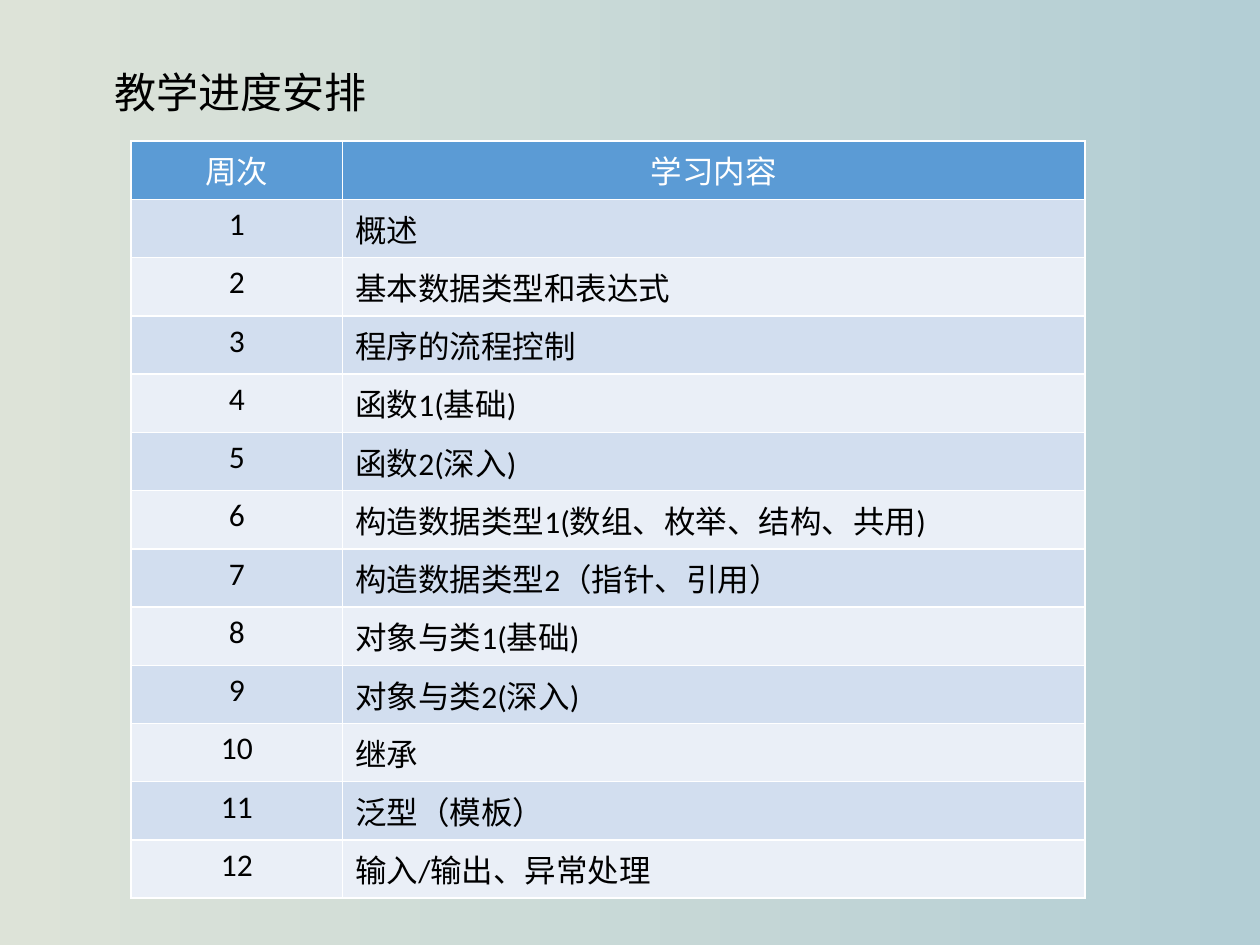
from pptx import Presentation, util as u
from pptx.dml.color import RGBColor
from pptx.enum import text

WHITE = RGBColor(0xFF, 0xFF, 0xFF)
BLACK = RGBColor(0x00, 0x00, 0x00)
HEADER_BLUE = RGBColor(0x5B, 0x9B, 0xD5)
BAND_DARK = RGBColor(0xD2, 0xDE, 0xEF)
BAND_LIGHT = RGBColor(0xEA, 0xEF, 0xF7)
BACKGROUND_LEFT = RGBColor(0xDD, 0xE3, 0xD8)
BACKGROUND_RIGHT = RGBColor(0xB3, 0xCE, 0xD5)

TOPICS = [
    "概述",
    "基本数据类型和表达式",
    "程序的流程控制",
    "函数1(基础)",
    "函数2(深入)",
    "构造数据类型1(数组、枚举、结构、共用)",
    "构造数据类型2（指针、引用）",
    "对象与类1(基础)",
    "对象与类2(深入)",
    "继承",
    "泛型（模板）",
    "输入/输出、异常处理",
]


def write_text(frame, content, size=18, color=BLACK, align=text.PP_ALIGN.LEFT, font="Calibri"):
    paragraph = frame.paragraphs[0]
    paragraph.alignment = align
    run = paragraph.add_run()
    run.text = content
    run.font.name = font
    run.font.size = u.Pt(size)
    run.font.bold = False
    run.font.color.rgb = color


class ScheduleSlide:
    def __init__(self, presentation):
        self.slide = presentation.slides.add_slide(presentation.slide_layouts[6])

    def background(self, *colors):
        fill = self.slide.background.fill
        fill.gradient()
        fill.gradient_angle = 0
        for stop, color in zip(fill.gradient_stops, colors):
            stop.color.rgb = color

    def title(self, content, left, top, width, height):
        shape = self.slide.shapes.add_textbox(
            u.Inches(left), u.Inches(top), u.Inches(width), u.Inches(height))
        shape.text_frame.word_wrap = False
        shape.text_frame.auto_size = text.MSO_AUTO_SIZE.SHAPE_TO_FIT_TEXT
        write_text(shape.text_frame, content, size=24)

    def table(self, rows, left, top, column_widths, row_height):
        table = self.slide.shapes.add_table(
            len(rows), len(column_widths), u.Inches(left), u.Inches(top),
            u.Inches(sum(column_widths)), u.Inches(row_height * len(rows))).table
        for column, width in zip(table.columns, column_widths):
            column.width = u.Inches(width)
        for row_index, row in enumerate(rows):
            table.rows[row_index].height = u.Inches(row_height)
            is_header = row_index == 0
            band = BAND_DARK if row_index % 2 else BAND_LIGHT
            for column_index, content in enumerate(row):
                cell = table.cell(row_index, column_index)
                cell.fill.solid()
                cell.fill.fore_color.rgb = HEADER_BLUE if is_header else band
                centred = is_header or column_index == 0
                write_text(cell.text_frame, content,
                           color=WHITE if is_header else BLACK,
                           align=text.PP_ALIGN.CENTER if centred else text.PP_ALIGN.LEFT)


def main():
    presentation = Presentation()
    presentation.slide_width = u.Inches(10)
    presentation.slide_height = u.Inches(7.5)
    schedule = ScheduleSlide(presentation)
    schedule.background(BACKGROUND_LEFT, BACKGROUND_RIGHT)
    weeks = [(str(week), topic) for week, topic in enumerate(TOPICS, 1)]
    schedule.table([("周次", "学习内容")] + weeks, 1.04, 1.12, (1.68, 5.89), 0.41)
    schedule.title("教学进度安排", 0.81, 0.48, 2.22, 0.5)
    presentation.save("out.pptx")


if __name__ == "__main__":
    main()
